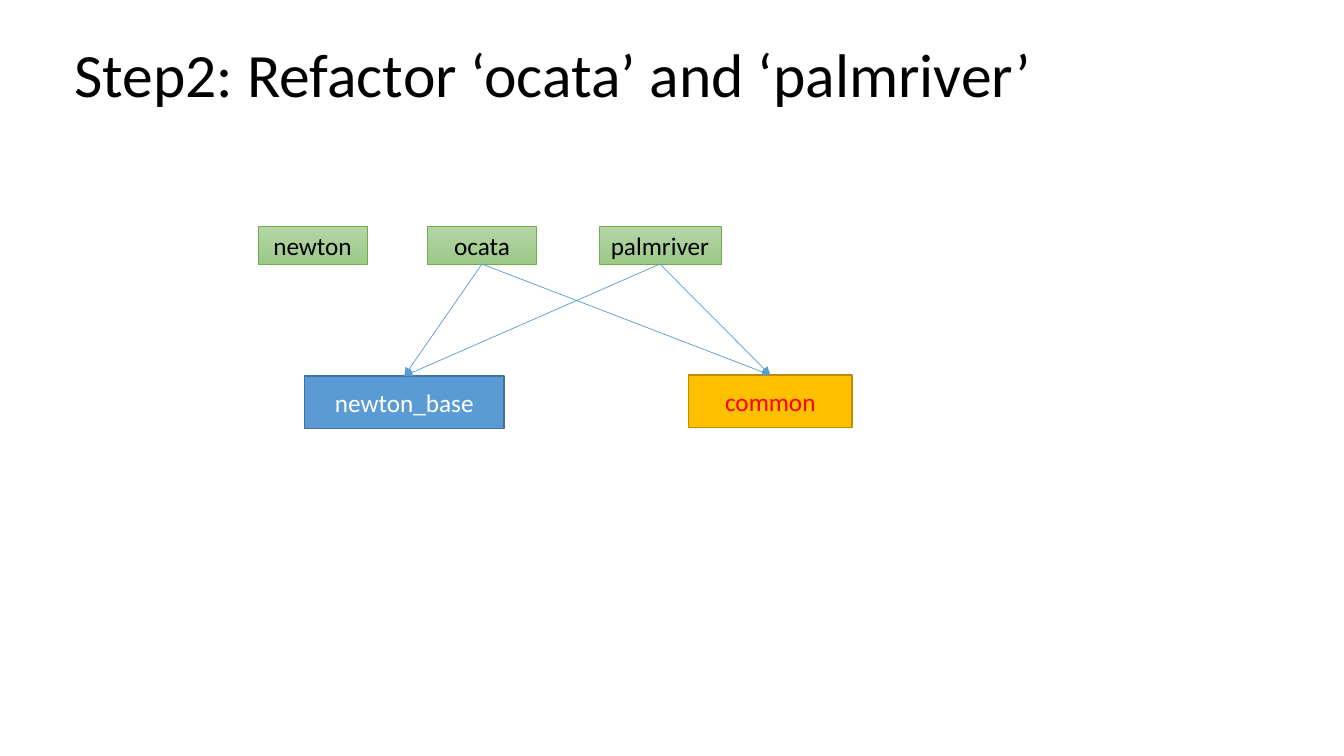
from dataclasses import dataclass

from lxml import etree
from pptx import Presentation
from pptx.dml.color import RGBColor
from pptx.enum.shapes import MSO_CONNECTOR, MSO_SHAPE
from pptx.enum.text import MSO_ANCHOR, PP_ALIGN
from pptx.oxml.ns import qn
from pptx.shapes.autoshape import Shape
from pptx.shapes.connector import Connector
from pptx.slide import Slide
from pptx.util import Inches, Length, Pt

RECT = MSO_SHAPE.RECTANGLE
STRAIGHT = MSO_CONNECTOR.STRAIGHT
MIDDLE = MSO_ANCHOR.MIDDLE
LEFT, CENTER = PP_ALIGN.LEFT, PP_ALIGN.CENTER
TOP_SITE, BASE_SITE = 0, 2
FONT = "Calibri"
CELL = 0.1
COLORS = {
    "black": "000000", "white": "FFFFFF", "red": "FF0000",
    "blue": "5B9BD5", "navy": "43739E",
    "gold": "FFC000", "ochre": "BD8E00",
    "pale": "B5D5A7", "leaf": "9CC987", "green": "70AD47",
}


@dataclass(frozen=True)
class Look:
    """Fill colours, outline and text colour shared by boxes."""
    fill: tuple[str, ...]
    line: str
    width: float
    ink: str


@dataclass(frozen=True)
class Box:
    """A labelled box placed by grid column and row."""
    name: str
    col: float
    row: float
    cols: float
    rows: float
    look: Look


BRANCH = Look(("pale", "leaf"), "green", 0.5, "black")
BASE = Look(("blue",), "navy", 1, "white")
SHARED = Look(("gold",), "ochre", 1, "red")
BOXES = (
    Box("common", 68.3, 37.2, 16.2, 5.2, SHARED),
    Box("newton", 25.6, 22.5, 10.8, 3.7, BRANCH),
    Box("newton_base", 30.2, 37.3, 19.8, 5.2, BASE),
    Box("ocata", 42.4, 22.5, 10.8, 3.7, BRANCH),
    Box("palmriver", 59.4, 22.5, 12.1, 3.7, BRANCH),
)
SOURCES = ("ocata", "palmriver")
TARGETS = ("newton_base", "common")


def grid(count: float) -> Length:
    """Turn a count of grid cells into a length."""
    return Inches(count * CELL)


def color(name: str) -> RGBColor:
    """Look up a named colour."""
    return RGBColor.from_string(COLORS[name])


def write(shape: Shape, text: str, size: float, ink: str, align: PP_ALIGN) -> None:
    """Set and format the one paragraph of a shape."""
    frame = shape.text_frame
    frame.word_wrap = True
    frame.vertical_anchor = MIDDLE
    frame.text = text
    para = frame.paragraphs[0]
    para.alignment = align
    font = para.runs[0].font
    font.name, font.size = FONT, Pt(size)
    font.color.rgb = color(ink)


def add_title(slide: Slide, text: str) -> None:
    """Add the heading of the slide."""
    title = slide.shapes.add_textbox(grid(6.4), grid(0.4), grid(115), grid(14.5))
    write(title, text, 44, "black", LEFT)
    title.text_frame.paragraphs[0].line_spacing = 0.9


def add_box(slide: Slide, box: Box) -> Shape:
    """Draw one labelled box."""
    look = box.look
    shape = slide.shapes.add_shape(
        RECT, grid(box.col), grid(box.row), grid(box.cols), grid(box.rows))
    shape.shadow.inherit = False
    if len(look.fill) > 1:
        shape.fill.gradient()
        shape.fill.gradient_angle = 270
        for stop, name in zip(shape.fill.gradient_stops, look.fill):
            stop.color.rgb = color(name)
    else:
        shape.fill.solid()
        shape.fill.fore_color.rgb = color(look.fill[0])
    shape.line.color.rgb = color(look.line)
    shape.line.width = Pt(look.width)
    write(shape, box.name, 18, look.ink, CENTER)
    return shape


def add_arrow(slide: Slide, start: Shape, end: Shape) -> Connector:
    """Link the bottom of one box to the top of another."""
    arrow = slide.shapes.add_connector(STRAIGHT, 0, 0, 0, 0)
    arrow.begin_connect(start, BASE_SITE)
    arrow.end_connect(end, TOP_SITE)
    arrow.line.color.rgb = color("blue")
    arrow.line.width = Pt(0.5)
    props = arrow._element.spPr
    etree.SubElement(props.find(qn("a:ln")), qn("a:tailEnd"), type="triangle")
    etree.SubElement(props, qn("a:effectLst"))
    return arrow


def main() -> None:
    """Build and save the slide."""
    deck = Presentation()
    deck.slide_width, deck.slide_height = Inches(13.33), Inches(7.5)
    slide = deck.slides.add_slide(deck.slide_layouts[6])
    add_title(slide, "Step2: Refactor ‘ocata’ and ‘palmriver’")
    shapes = {box.name: add_box(slide, box) for box in BOXES}
    for target in TARGETS:
        for source in SOURCES:
            add_arrow(slide, shapes[source], shapes[target])
    deck.save("out.pptx")


if __name__ == "__main__":
    main()
